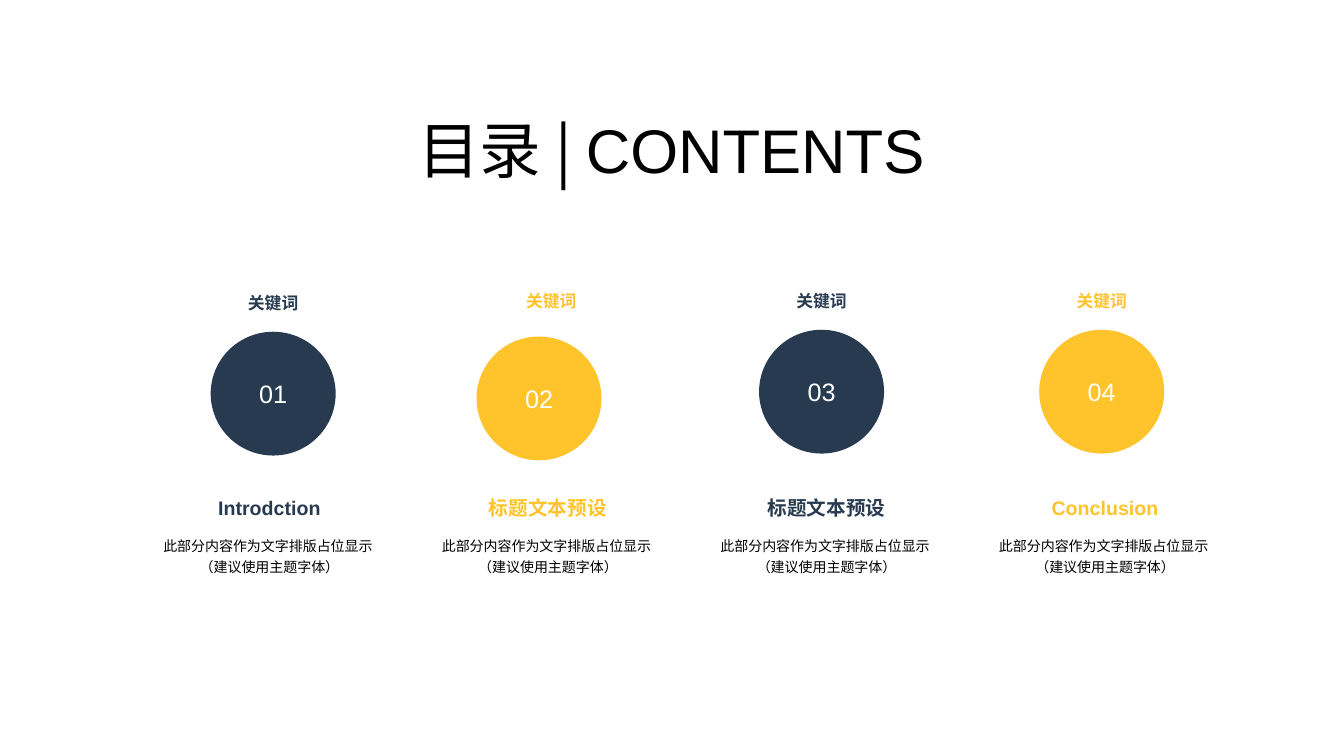
import pptx
import pptx.util
import pptx.dml.color
import pptx.enum.shapes
import pptx.enum.text
import pptx.oxml.ns
import lxml.etree

Cm, Pt = pptx.util.Cm, pptx.util.Pt
ALIGN = pptx.enum.text.PP_ALIGN
ANCHOR = pptx.enum.text.MSO_ANCHOR

NAVY, YELLOW, BLACK, WHITE = "273A4F", "FFC32B", "000000", "FFFFFF"
CJK = "Noto Sans CJK SC"

TITLE = [("目录 | ", CJK), ("CONTENTS", "Arial")]
KEYWORD = "关键词"
DETAIL = "此部分内容作为文字排版占位显示 \v（建议使用主题字体）"
# number, heading, colour, circle (left, top), keyword (left, top), all in cm
SECTIONS = [
    ("01", "Introdction", NAVY, (5.31, 8.36), (5.59, 7.37)),
    ("02", "标题文本预设", YELLOW, (12.01, 8.48), (12.6, 7.32)),
    ("03", "标题文本预设", NAVY, (19.13, 8.31), (19.41, 7.32)),
    ("04", "Conclusion", YELLOW, (26.19, 8.31), (26.47, 7.32)),
]
COLUMN_LEFT, COLUMN_PITCH, COLUMN_WIDTH = 3.5, 7.02, 6.58


def color(value):
    return pptx.dml.color.RGBColor.from_string(value)


def style(span, size, shade, bold=False, name="Arial"):
    for key, value in {"size": Pt(size), "bold": bold, "name": name}.items():
        setattr(span.font, key, value)
    span.font.color.rgb = color(shade)
    east = lxml.etree.SubElement(span.font._element, pptx.oxml.ns.qn("a:ea"))
    east.set("typeface", CJK)


def write(shape, text, size, shade, bold=False, spacing=1.0):
    para = shape.text_frame.paragraphs[0]
    para.text = text
    para.alignment = ALIGN.CENTER
    para.line_spacing = spacing
    for span in para.runs:
        style(span, size, shade, bold)


def add_label(page, place, text, size, shade, bold=True, wrap=False, spacing=1.0):
    box = page.shapes.add_textbox(*map(Cm, place))
    frame = {"word_wrap": wrap, "vertical_anchor": ANCHOR.MIDDLE, "margin_left": 0,
             "margin_right": 0, "margin_top": 0, "margin_bottom": 0}
    for key, value in frame.items():
        setattr(box.text_frame, key, value)
    write(box, text, size, shade, bold, spacing)


def add_circle(page, place, text, shade):
    circle = page.shapes.add_shape(
        pptx.enum.shapes.MSO_SHAPE.OVAL, *map(Cm, place))
    circle.shadow.inherit = False
    circle.fill.solid()
    circle.fill.fore_color.rgb = color(shade)
    circle.line.fill.background()
    circle.text_frame.vertical_anchor = ANCHOR.MIDDLE
    write(circle, text, 18, WHITE)


def add_title(page):
    title = page.shapes.title
    place = {"left": 10.13, "top": 2.7, "width": 13.59, "height": 4.2}
    for key, value in place.items():
        setattr(title, key, Cm(value))
    frame = {"word_wrap": True, "vertical_anchor": ANCHOR.TOP,
             "auto_size": pptx.enum.text.MSO_AUTO_SIZE.NONE}
    for key, value in frame.items():
        setattr(title.text_frame, key, value)
    para = title.text_frame.paragraphs[0]
    para.alignment = ALIGN.CENTER
    para.line_spacing = 1.0
    for text, name in TITLE:
        span = para.add_run()
        span.text = text
        style(span, 44, BLACK, name=name)


def main():
    deck = pptx.Presentation()
    deck.slide_width, deck.slide_height = Cm(33.87), Cm(19.05)
    page = deck.slides.add_slide(deck.slide_layouts[5])
    add_title(page)

    # One column per section
    for index, (number, heading, shade, circle, keyword) in enumerate(SECTIONS):
        left = COLUMN_LEFT + index * COLUMN_PITCH
        add_label(page, (*keyword, 2.59, 0.51), KEYWORD, 12, shade)
        add_circle(page, (*circle, 3.15, 3.12), number, shade)
        add_label(page, (left, 12.4, COLUMN_WIDTH, 0.79), heading, 14, shade)
        add_label(page, (left, 13.18, COLUMN_WIDTH, 1.6), DETAIL, 10, BLACK,
                  bold=False, wrap=True, spacing=1.2)

    deck.save("out.pptx")


if __name__ == "__main__":
    main()
